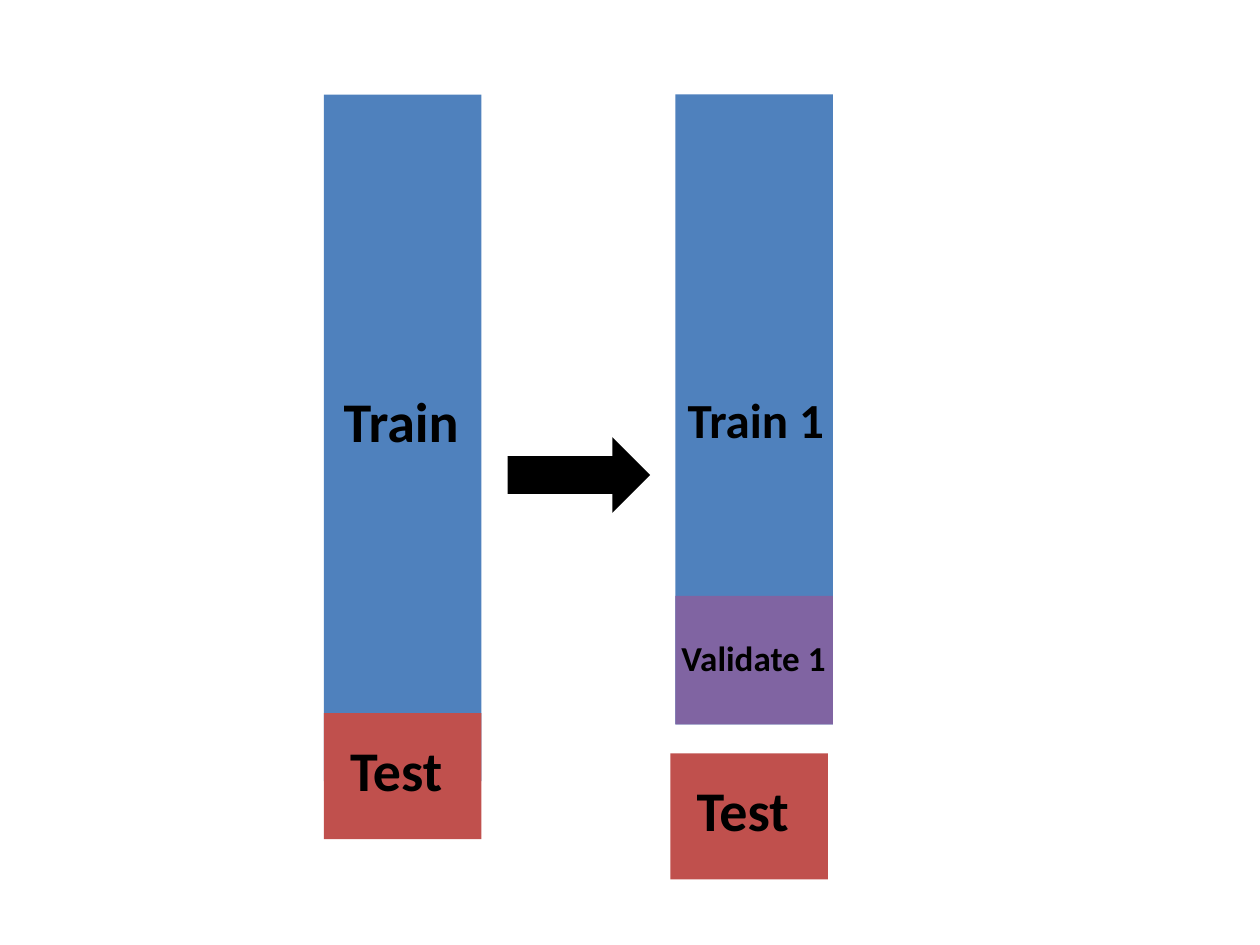
from pptx import Presentation
from pptx import util as u
from pptx.dml.color import RGBColor
from pptx.enum import shapes, text

WIDTH, HEIGHT = 10, 7.5
BLUE, RED, PURPLE, BLACK = "4F81BD", "C0504D", "8064A2", "000000"
BAR = 1.25


def colour(value):
    """Turn a hex string into a colour."""
    return RGBColor.from_string(value)


class SplitSlide:
    """Holds the style and the slide, and draws on a grid of one-inch columns and rows."""

    font = "Calibri"

    def __init__(self, deck):
        """Add a blank slide to the deck."""
        self.slide = deck.slides.add_slide(deck.slide_layouts[6])

    def block(self, column, row, columns, rows, fill, kind=shapes.MSO_SHAPE.RECTANGLE):
        """Draw a plain filled shape."""
        block = self.slide.shapes.add_shape(
            kind, *map(u.Inches, (column, row, columns, rows)))
        block.shadow.inherit = False
        block.fill.solid()
        block.fill.fore_color.rgb = colour(fill)
        block.line.fill.background()

    def label(self, column, row, columns, rows, words, size):
        """Write a bold one-line label."""
        label = self.slide.shapes.add_textbox(
            *map(u.Inches, (column, row, columns, rows)))
        frame = label.text_frame
        frame.word_wrap = False
        frame.auto_size = text.MSO_AUTO_SIZE.SHAPE_TO_FIT_TEXT
        run = frame.paragraphs[0].add_run()
        run.text = words
        run.font.name, run.font.size, run.font.bold = self.font, u.Pt(size), True
        run.font.color.rgb = colour(BLACK)

    def test_set(self, column, row):
        """Draw a test block with its label."""
        self.block(column, row, BAR, 1, RED)
        self.label(column + 0.11, row + 0.13, 0.99, 0.64, "Test", 32)


def main():
    """Build the slide that splits training data for validation."""
    deck = Presentation()
    deck.slide_width, deck.slide_height = u.Inches(WIDTH), u.Inches(HEIGHT)
    split = SplitSlide(deck)

    split.block(2.57, 0.75, BAR, 5.45, BLUE)
    split.label(2.63, 3.02, 1.16, 0.64, "Train", 32)
    split.test_set(2.57, 5.66)

    split.block(5.36, 0.75, BAR, 5, BLUE)
    split.label(5.36, 3.04, 1.32, 0.57, "Train 1", 28)
    split.block(5.36, 4.73, BAR, 1.02, PURPLE)
    split.label(5.31, 5, 1.38, 0.44, "Validate 1", 20)
    split.test_set(5.32, 5.98)

    split.block(4.03, 3.47, 1.13, 0.6, BLACK, shapes.MSO_SHAPE.RIGHT_ARROW)
    deck.save("out.pptx")


if __name__ == "__main__":
    main()
